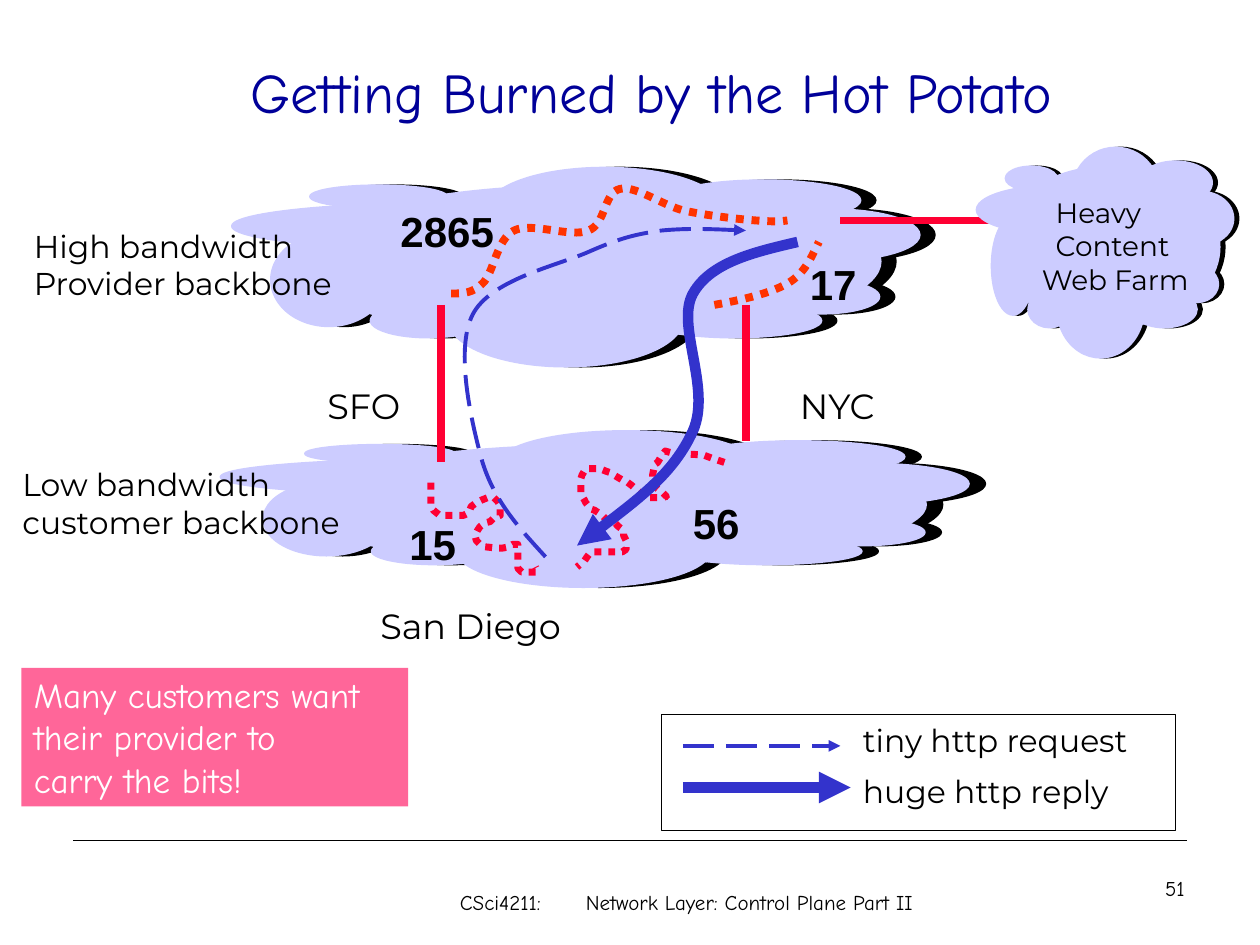
from lxml import etree
from pptx import Presentation, util as u
from pptx.dml.color import RGBColor
from pptx.enum import dml, shapes, text
from pptx.oxml import ns

PX = u.Inches(1) // 100

BLACK = RGBColor(0, 0, 0)
WHITE = RGBColor(255, 255, 255)
NAVY = RGBColor(0, 0, 0x99)
BLUE = RGBColor(0x33, 0x33, 0xCC)
LAVENDER = RGBColor(0xCC, 0xCC, 0xFF)
RED = RGBColor(0xFF, 0, 0x33)
ORANGE = RGBColor(0xFF, 0x33, 0)
PINK = RGBColor(0xFF, 0x66, 0x99)

COMIC, SANS, ARIAL = "Comic Neue", "Montserrat", "Arial"
DOTS, DASHES = dml.MSO_LINE.ROUND_DOT, dml.MSO_LINE.LONG_DASH

CLOUD_SIZE = (546, 158)
LOBES = [
    (47, 14, 468, 121), (62, 14, 109, 18), (344, 10, 155, 32),
    (203, 0, 186, 65), (0, 28, 342, 37), (172, 84, 186, 74),
    (406, 33, 140, 41), (31, 52, 92, 74), (422, 89, 92, 27),
    (110, 108, 92, 27), (329, 108, 139, 27),
]

SFO_ROUTE = [
    (342, 383), (342, 401), (344, 405), (349, 409), (368, 409), (372, 407),
    (374, 402), (378, 399), (382, 397), (387, 395), (392, 395), (395, 398),
    (397, 401), (397, 409), (392, 411), (389, 414), (385, 415), (381, 418),
    (379, 421), (377, 425), (378, 429), (381, 432), (385, 434), (394, 435),
    (399, 435), (404, 434), (407, 432), (411, 432), (411, 451), (414, 454),
    (427, 454), (425, 450),
]
NYC_ROUTE = [
    (575, 367), (566, 364), (558, 361), (535, 360), (528, 358), (525, 362),
    (522, 367), (519, 369), (519, 372), (518, 377), (518, 380), (519, 385),
    (522, 388), (526, 391), (529, 394), (526, 395), (515, 395), (511, 394),
    (508, 391), (501, 385), (497, 382), (494, 381), (489, 378), (484, 375),
    (481, 374), (476, 372), (465, 372), (462, 377), (461, 380), (461, 392),
    (464, 397), (465, 399), (469, 404), (472, 405), (478, 409), (481, 412),
    (484, 414), (488, 415), (491, 418), (495, 421), (495, 425), (497, 429),
    (497, 436), (494, 438), (469, 438), (466, 442), (464, 445), (458, 450),
]
LONG_HAUL = [
    (358, 233), (367, 233), (375, 233), (383, 225), (392, 217), (394, 190),
    (408, 183), (422, 176), (453, 189), (467, 183), (481, 178), (479, 153),
    (492, 150), (504, 147), (524, 162), (542, 167), (560, 171), (586, 174),
    (600, 175), (614, 176), (619, 176), (625, 175),
]
SHORT_HAUL = [
    (567, 242), (589, 238), (611, 233), (625, 225), (639, 217), (644, 204),
    (650, 192),
]
REQUEST = [
    (433, 442), (413, 420), (393, 399), (383, 367), (374, 335), (361, 278),
    (375, 250), (389, 222), (442, 211), (467, 200), (492, 189), (504, 186),
    (525, 183), (546, 181), (569, 182), (592, 183),
]
REPLY = [
    (633, 192), (599, 200), (564, 208), (550, 233), (536, 258), (565, 308),
    (550, 342), (535, 375), (497, 404), (458, 433),
]


def px(*lengths):
    return [length * PX for length in lengths]


def format_line(shape, color, width, dash=None, arrow=False):
    line = shape.line
    line.color.rgb = color
    values = {"width": u.Pt(width), "dash_style": dash}
    for name, value in values.items():
        setattr(line, name, value)
    if arrow:
        outline = shape._element.spPr.find(ns.qn("a:ln"))
        etree.SubElement(outline, ns.qn("a:tailEnd"), type="triangle")


def write(shape, lines, size, font, color=BLACK, bold=False,
          align=text.PP_ALIGN.LEFT, anchor=text.MSO_ANCHOR.TOP):
    frame = shape.text_frame
    frame.text = "\n".join(lines)
    for name, value in {"word_wrap": True, "vertical_anchor": anchor}.items():
        setattr(frame, name, value)
    for para in frame.paragraphs:
        para.alignment = align
        para.font.color.rgb = color
        values = {"size": u.Pt(size), "name": font, "bold": bold}
        for name, value in values.items():
            setattr(para.font, name, value)


def add_text(target, box, lines, size, font, **formats):
    label = target.add_textbox(*px(*box))
    write(label, lines, size, font, **formats)
    return label


def add_preset(target, kind, box, fill=None):
    shape = target.add_shape(kind, *px(*box))
    shape.shadow.inherit = False
    if fill is None:
        shape.fill.background()
    else:
        shape.fill.solid()
        shape.fill.fore_color.rgb = fill
    return shape


def add_cloud(page, left, top, width, height, depth):
    group = page.shapes.add_group_shape()
    across, down = width / CLOUD_SIZE[0], height / CLOUD_SIZE[1]
    for shift, color in ((depth, BLACK), (0, LAVENDER)):
        for x, y, wide, high in LOBES:
            box = (left + shift + round(x * across), top + round(y * down),
                   round(wide * across), round(high * down))
            lobe = add_preset(group.shapes, shapes.MSO_SHAPE.OVAL, box, color)
            format_line(lobe, color, 1)
    return group


def add_straight(page, start, end, color, width, **formats):
    line = page.shapes.add_connector(
        shapes.MSO_CONNECTOR.STRAIGHT, *px(*start, *end))
    format_line(line, color, width, **formats)
    etree.SubElement(line._element.spPr, ns.qn("a:effectLst"))


def add_route(page, points, color, width, curved=True, **formats):
    builder = page.shapes.build_freeform(*points[0], scale=PX)
    builder.add_line_segments(points[1:], close=False)
    route = builder.convert_to_shape()
    route.shadow.inherit = False
    route.fill.background()
    format_line(route, color, width, **formats)
    if curved:
        steps = list(route._element.iter(ns.qn("a:lnTo")))
        for first in range(0, len(steps), 3):
            curve = etree.Element(ns.qn("a:cubicBezTo"))
            steps[first].addprevious(curve)
            for step in steps[first:first + 3]:
                curve.append(step[0])
                step.getparent().remove(step)


def add_footer(page):
    add_straight(page, (58, 667), (942, 667), BLACK, 0.75)
    add_text(page.shapes, (886, 690, 93, 50), ["51"], 12, COMIC,
             align=text.PP_ALIGN.CENTER)
    footer = page.shapes.add_textbox(*px(323, 701, 458, 33))
    footer.text_frame.margin_left = 42 * PX
    props = footer.text_frame.paragraphs[0]._p.get_or_add_pPr()
    tabs = etree.SubElement(props, ns.qn("a:tabLst"))
    etree.SubElement(tabs, ns.qn("a:tab"), pos=str(114 * PX), algn="l")
    write(footer, ["CSci4211:\tNetwork Layer: Control Plane Part II"], 12, COMIC)


def add_web_farm(page):
    farm = add_cloud(page, 775, 117, 204, 167, 4)
    label = add_text(farm.shapes, (817, 150, 141, 90),
                     ["Heavy", "Content", "Web Farm"], 16, SANS)
    for para in label.text_frame.paragraphs[:2]:
        para._p.get_or_add_pPr().set("marL", str(11 * PX))


def add_legend(page):
    add_straight(page, (542, 592), (667, 592), BLUE, 2.25, dash=DASHES, arrow=True)
    add_straight(page, (542, 625), (675, 625), BLUE, 6, arrow=True)
    for top, label in ((567, "tiny http request"), (608, "huge http reply")):
        add_text(page.shapes, (675, top, 248, 40), [label], 18, SANS)
    frame = add_preset(page.shapes, shapes.MSO_SHAPE.RECTANGLE, (525, 567, 408, 92))
    format_line(frame, BLACK, 0.75)


def main():
    deck = Presentation()
    deck.slide_width, deck.slide_height = px(1000, 750)
    page = deck.slides.add_slide(deck.slide_layouts[5])

    title = page.shapes.title
    title.left, title.top, title.width, title.height = px(92, 17, 850, 110)
    write(title, ["Getting Burned by the Hot Potato"], 32, COMIC, color=NAVY,
          align=text.PP_ALIGN.CENTER, anchor=text.MSO_ANCHOR.MIDDLE)

    add_cloud(page, 184, 133, 546, 158, 12)
    add_cloud(page, 175, 342, 594, 124, 13)
    add_route(page, SFO_ROUTE, RED, 4, curved=False, dash=DOTS)
    add_straight(page, (592, 242), (592, 350), RED, 4.5)
    add_straight(page, (350, 242), (350, 367), RED, 4.5)
    add_route(page, NYC_ROUTE, RED, 4, curved=False, dash=DOTS)
    add_route(page, LONG_HAUL, ORANGE, 4.5, dash=DOTS)
    add_route(page, SHORT_HAUL, ORANGE, 4.5, dash=DOTS)

    for left, top, width, cost in ((315, 407, 60, "15"), (540, 390, 60, "56"),
                                   (633, 200, 60, "17"), (308, 158, 98, "2865")):
        add_text(page.shapes, (left, top, width, 50), [cost], 24, ARIAL, bold=True)
    add_text(page.shapes, (17, 175, 276, 70),
             ["High bandwidth", "Provider backbone"], 18, SANS)
    add_text(page.shapes, (8, 364, 291, 70),
             ["Low bandwidth", "customer backbone"], 18, SANS)

    add_route(page, REQUEST, BLUE, 2.25, dash=DASHES, arrow=True)
    add_route(page, REPLY, BLUE, 6, arrow=True)
    add_straight(page, (667, 175), (817, 175), RED, 4.5)
    add_web_farm(page)

    note = add_preset(page.shapes, shapes.MSO_SHAPE.RECTANGLE, (17, 530, 307, 110), PINK)
    note.line.fill.background()
    write(note, ["Many customers want", "their provider to", "carry the bits!"],
          20, COMIC, color=WHITE)

    add_legend(page)
    for left, top, width, city in ((250, 300, 83, "SFO"), (625, 300, 86, "NYC"),
                                   (292, 475, 173, "San Diego")):
        add_text(page.shapes, (left, top, width, 43), [city], 20, SANS)
    add_footer(page)
    deck.save("out.pptx")


if __name__ == "__main__":
    main()
